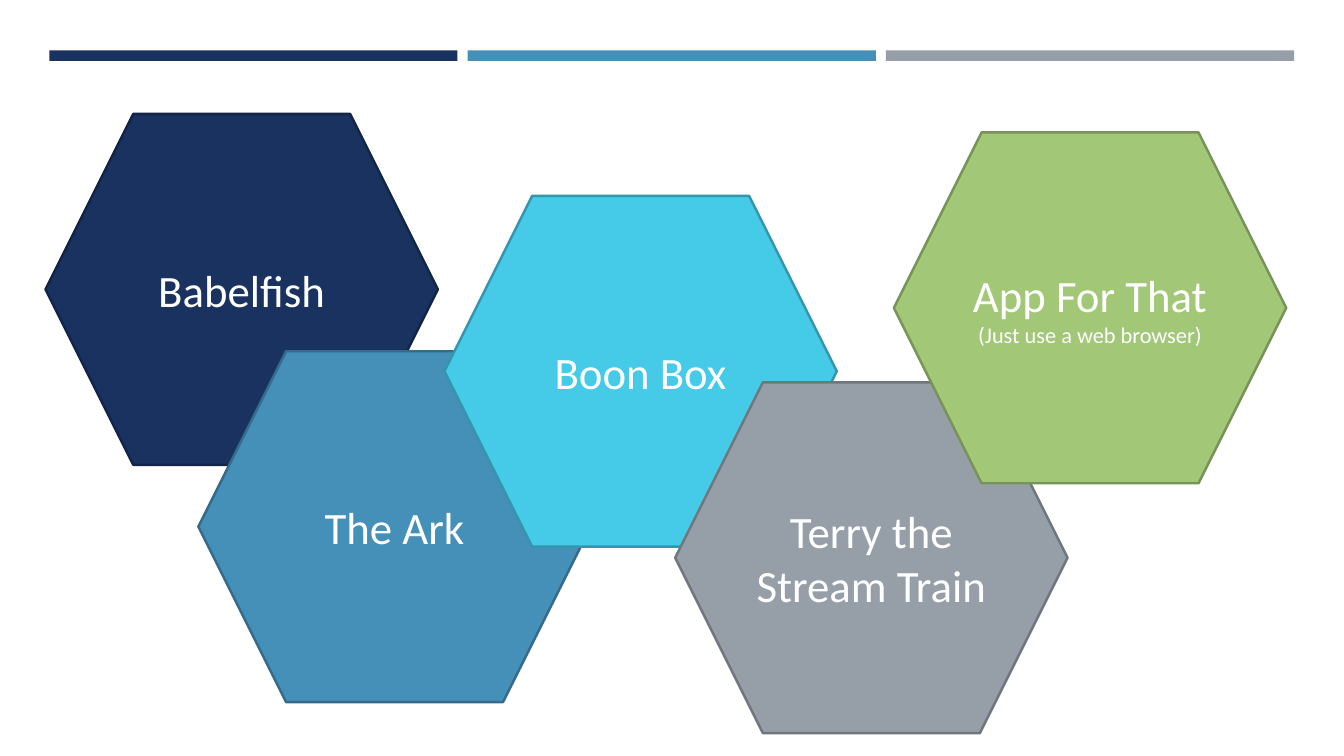
from pptx import Presentation
from pptx.dml.color import RGBColor
from pptx.enum import shapes, text
from pptx.util import Pt

NAVY = RGBColor(0x1A, 0x32, 0x60)
NAVY_EDGE = RGBColor(0x13, 0x25, 0x47)
BLUE = RGBColor(0x45, 0x90, 0xB8)
BLUE_EDGE = RGBColor(0x33, 0x6B, 0x88)
CYAN = RGBColor(0x45, 0xCB, 0xE8)
CYAN_EDGE = RGBColor(0x33, 0x96, 0xAC)
GREY = RGBColor(0x96, 0x9F, 0xA7)
GREY_EDGE = RGBColor(0x6F, 0x76, 0x7C)
GREEN = RGBColor(0xA2, 0xC7, 0x77)
GREEN_EDGE = RGBColor(0x78, 0x93, 0x58)
WHITE = RGBColor(0xFF, 0xFF, 0xFF)

HEXAGON_WIDTH, HEXAGON_HEIGHT = 280.3, 250.6
TITLE_SIZE, NOTE_SIZE = 32, 16

# Left and top within the cluster, fill, edge, lines of (wording, size)
PROJECTS = [
    (0, 0, NAVY, NAVY_EDGE, [("Babelfish", TITLE_SIZE)]),
    (109.2, 169.5, BLUE, BLUE_EDGE, [("The Ark", TITLE_SIZE)]),
    (285, 58.5, CYAN, CYAN_EDGE, [("Boon Box", TITLE_SIZE)]),
    (449.8, 191.7, GREY, GREY_EDGE, [("Terry the Stream Train", TITLE_SIZE)]),
    (606, 13.2, GREEN, GREEN_EDGE,
     [("App For That", TITLE_SIZE), ("(Just use a web browser)", NOTE_SIZE)]),
]


def add_filled_shape(slide, kind, left, top, width, height, fill):
    shape = slide.shapes.add_shape(kind, Pt(left), Pt(top), Pt(width), Pt(height))
    shape.shadow.inherit = False
    shape.fill.solid()
    shape.fill.fore_color.rgb = fill
    return shape


def add_header_bars(slide, left, top, width, height):
    """Three equal bars across the box."""
    gap = 7.2
    colors = (NAVY, BLUE, GREY)
    bar_width = (width - gap * (len(colors) - 1)) / len(colors)
    for index, color in enumerate(colors):
        bar = add_filled_shape(slide, shapes.MSO_SHAPE.RECTANGLE,
                               left + index * (bar_width + gap), top,
                               bar_width, height, color)
        bar.line.fill.background()


def add_project_hexagons(slide, left, top):
    """Overlapping hexagons, from back to front."""
    for x, y, fill, edge, lines in PROJECTS:
        hexagon = add_filled_shape(slide, shapes.MSO_SHAPE.HEXAGON, left + x, top + y,
                                   HEXAGON_WIDTH, HEXAGON_HEIGHT, fill)
        hexagon.line.color.rgb = edge
        hexagon.line.width = Pt(1.75)

        # Centred label
        frame = hexagon.text_frame
        frame.word_wrap = True
        frame.vertical_anchor = text.MSO_ANCHOR.MIDDLE
        for index, (wording, size) in enumerate(lines):
            paragraph = frame.add_paragraph() if index else frame.paragraphs[0]
            paragraph.alignment = text.PP_ALIGN.CENTER
            run = paragraph.add_run()
            run.text = wording
            run.font.color.rgb = WHITE
            for name, value in {"name": "Calibri", "size": Pt(size)}.items():
                setattr(run.font, name, value)


def main():
    presentation = Presentation()
    presentation.slide_width, presentation.slide_height = Pt(960), Pt(540)
    slide = presentation.slides.add_slide(presentation.slide_layouts[6])
    add_header_bars(slide, 35.2, 36, 889.2, 7.5)
    add_project_hexagons(slide, 32.5, 81.4)
    presentation.save("out.pptx")


if __name__ == "__main__":
    main()
